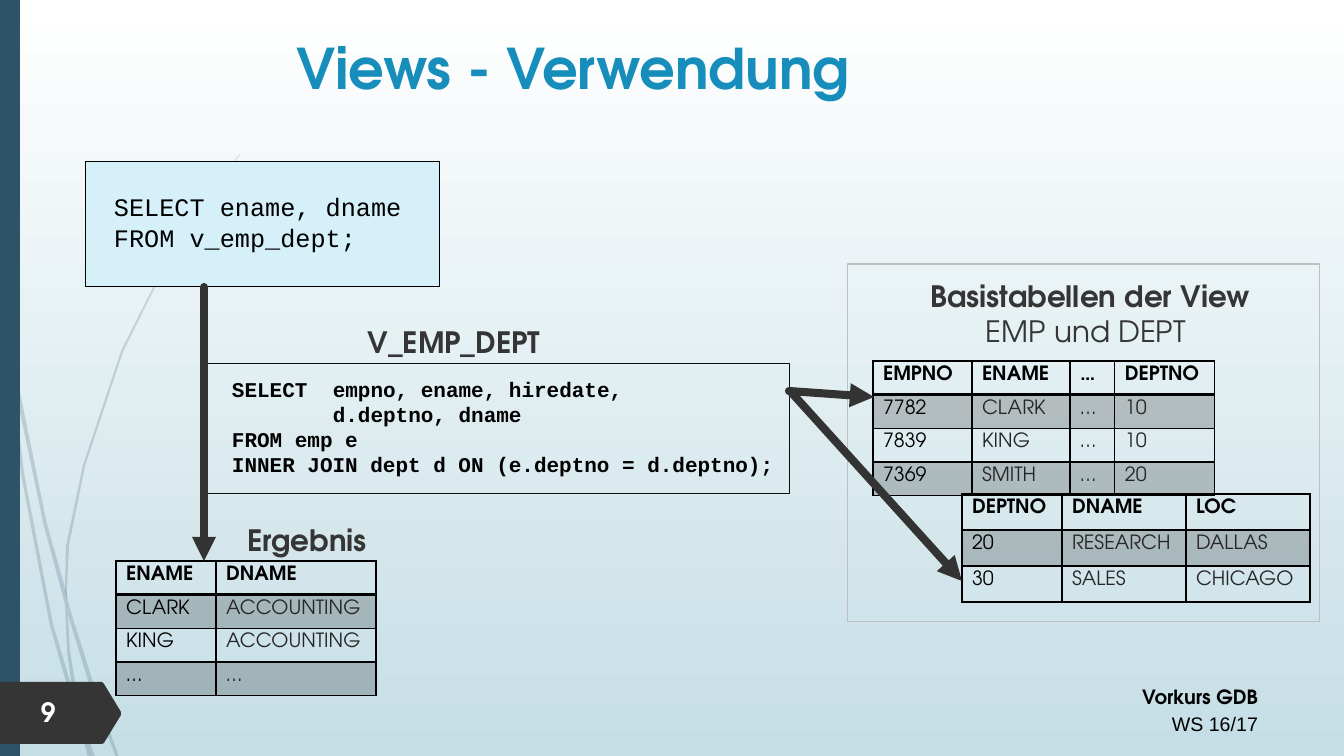
from lxml import etree
from pptx import Presentation
from pptx import util as u
from pptx.dml.color import RGBColor
from pptx.enum import shapes, text
from pptx.oxml import ns

SCALE = 914400 / 100.8
SANS, MONO = "TeX Gyre Adventor", "Courier New"
BLACK, DARK, NAVY = "000000", "353535", "2E5369"
LEFT, MID, RIGHT = text.PP_ALIGN.LEFT, text.PP_ALIGN.CENTER, text.PP_ALIGN.RIGHT

WISPS = [
    [(8, 353), (6, 325), (0, 284), (0, 301), (8, 347)],
    [(44, 526), (65, 604), (66, 591), (47, 524), (11, 348), (13, 379)],
    [(71, 612), (68, 601), (68, 615), (94, 700), (116, 757), (119, 757), (98, 698)],
    [(92, 757), (95, 757), (81, 717)],
    [(72, 688), (53, 624), (24, 473), (13, 379), (8, 353), (21, 474),
     (50, 626), (71, 699), (78, 720), (76, 713)],
    [(65, 604), (67, 651), (72, 688), (74, 698), (81, 717), (80, 712),
     (70, 651), (68, 615)],
    [(67, 589), (69, 546), (85, 466), (123, 352), (175, 247), (207, 200),
     (223, 176), (240, 155), (240, 154), (222, 176), (206, 199), (174, 246),
     (121, 351), (83, 465), (66, 546), (65, 589), (65, 591), (67, 601)],
    [(78, 720), (88, 757), (91, 757)],
    [(68, 613), (68, 601), (66, 591), (65, 604)],
    [(75, 698), (72, 688), (76, 713), (78, 720), (91, 757), (92, 757), (81, 717)],
]
TAG = [(0, 682), (102, 682), (104, 684), (121, 712), (121, 715), (104, 743),
       (102, 744), (0, 744)]


def px(size):
    """Turn pixels into EMU."""
    return u.Emu(round(size * SCALE))


def hue(code):
    """Turn a hex string into a colour."""
    return RGBColor.from_string(code)


def paint(fill, code, alpha=None):
    """Give a fill one colour, or none, with an optional opacity."""
    if code is None:
        fill.background()
        return
    fill.solid()
    fill.fore_color.rgb = hue(code)
    if alpha:
        tone = fill._xPr.find(ns.qn("a:solidFill"))[0]
        etree.SubElement(tone, ns.qn("a:alpha"), val=str(alpha * 1000))


def say(para, words, size, font, code, bold=False):
    """Add one styled run, with a line break at each newline."""
    for num, line in enumerate(words.split("\n")):
        if num:
            para.add_line_break()
        if line:
            run = para.add_run()
            run.text = line
            run.font.size, run.font.name = u.Pt(size), font
            run.font.bold, run.font.color.rgb = bold, hue(code)


def label(slide, place, paras, align=LEFT, space=None):
    """Add a text box of paragraphs, each a list of runs."""
    frame = slide.shapes.add_textbox(*map(px, place)).text_frame
    frame.word_wrap = True
    for num, runs in enumerate(paras):
        para = frame.add_paragraph() if num else frame.paragraphs[0]
        para.alignment, para.line_spacing = align, space
        for run in runs:
            say(para, *run)


def block(slide, place, code=None, edge=None):
    """Add a plain rectangle."""
    box = slide.shapes.add_shape(shapes.MSO_SHAPE.RECTANGLE, *map(px, place))
    box.shadow.inherit = False
    paint(box.fill, code)
    paint(box.line.fill, edge)
    if edge:
        box.line.width = u.Pt(0.75)
    return box


def query(slide, place, paras, size, edge, code=None, bold=False):
    """Add a framed block of SQL."""
    frame = block(slide, place, code, edge).text_frame
    frame.word_wrap = True
    frame.vertical_anchor = text.MSO_ANCHOR.MIDDLE
    frame.margin_left, frame.margin_top = px(28), 0
    for num, words in enumerate(paras):
        para = frame.add_paragraph() if num else frame.paragraphs[0]
        para.alignment = LEFT
        para._p.get_or_add_pPr().set("defTabSz", "457200")
        say(para, words, size, MONO, BLACK, bold)


def outline(slide, points, code, alpha=None):
    """Add a filled closed outline."""
    pen = slide.shapes.build_freeform(*points[0], scale=SCALE)
    pen.add_line_segments(points[1:], close=True)
    form = pen.convert_to_shape()
    form.shadow.inherit = False
    paint(form.fill, code, alpha)
    form.line.fill.background()


def rule(cell, side, width):
    """Draw one black border of a cell."""
    line = etree.SubElement(cell._tc.get_or_add_tcPr(), ns.qn("a:ln" + side),
                            w=str(u.Pt(width)))
    fill = etree.SubElement(line, ns.qn("a:solidFill"))
    etree.SubElement(fill, ns.qn("a:srgbClr"), val=BLACK)


def table(slide, left, top, cols, high, rows):
    """Add a ruled table with a bold head and shaded odd rows."""
    grid = slide.shapes.add_table(len(rows), len(cols), px(left), px(top),
                                  px(sum(cols)), px(high * len(rows))).table
    grid.first_row = grid.horz_banding = False
    for col, wide in zip(grid.columns, cols):
        col.width = px(wide)
    for r, row in enumerate(rows):
        grid.rows[r].height = px(high)
        for c, words in enumerate(row):
            cell = grid.cell(r, c)
            for side in "LRTB":
                rule(cell, side, 2 if (r, side) in [(0, "B"), (1, "T")] else 1)
            paint(cell.fill, BLACK if r % 2 else None, 20)
            say(cell.text_frame.paragraphs[0], words, 14, SANS,
                "262626" if r and c else BLACK, r == 0)


def arrow(slide, *ends):
    """Add a thick arrow between two points."""
    link = slide.shapes.add_connector(shapes.MSO_CONNECTOR.STRAIGHT, *map(px, ends))
    link.line.width = u.Pt(5.75)
    link.line.color.rgb = hue("333333")
    line = link.line._get_or_add_ln()
    line.set("cap", "rnd")
    etree.SubElement(line, ns.qn("a:round"))
    etree.SubElement(line, ns.qn("a:tailEnd"), type="triangle")
    etree.SubElement(link._element.spPr, ns.qn("a:effectLst"))


def backdrop(slide):
    """Add the gradient, wisps, side bar, footer and page tag."""
    fill = slide.background.fill
    fill.gradient()
    fill.gradient_angle = 270
    for stop, code in zip(fill.gradient_stops, ("FFFFFF", "C5DEE5")):
        stop.color.rgb = hue(code)
    for wisp in WISPS:
        outline(slide, wisp, NAVY, 20)
    block(slide, (0, 0, 20, 756), NAVY)
    label(slide, (744, 677, 524, 65), [[("Vorkurs GDB", 14, SANS, BLACK, True)],
                                       [("WS 16/17", 14, "Arial", BLACK)]], RIGHT, 1.14)
    outline(slide, TAG, DARK)
    label(slide, (31, 691, 71, 42), [[("9", 19, SANS, "FFFFFF", True)]])


def head(slide):
    """Place and fill the title."""
    title = slide.shapes.title
    title.left, title.top, title.width, title.height = map(px, (121, 26, 904, 82))
    frame = title.text_frame
    frame.vertical_anchor = text.MSO_ANCHOR.MIDDLE
    frame.paragraphs[0].alignment = MID
    say(frame.paragraphs[0], "Views - Verwendung", 40, SANS, "178DBB", True)


def main():
    """Build and save the slide."""
    deck = Presentation()
    deck.slide_width, deck.slide_height = px(1344), px(756)
    slide = deck.slides.add_slide(deck.slide_layouts[5])
    backdrop(slide)
    head(slide)
    query(slide, (204, 364, 586, 130),
          ["SELECT \tempno, ename, hiredate,\n\t\td.deptno, dname\nFROM emp e",
           "INNER JOIN dept d ON (e.deptno = d.deptno);"], 15, "0D0D0D", bold=True)
    query(slide, (86, 162, 354, 125), ["SELECT ename, dname\nFROM v_emp_dept;"],
          18, BLACK, "D6F0FA")
    label(slide, (312, 319, 284, 45), [[("V_EMP_DEPT", 21, SANS, DARK, True)]], MID)
    table(slide, 873, 361, (99, 98, 45, 100), 33,
          [("EMPNO", "ENAME", "…", "DEPTNO"), ("7782", "CLARK", "…", "10"),
           ("7839", "KING", "…", "10"), ("7369", "SMITH", "…", "20")])
    table(slide, 962, 494, (100, 124, 124), 36,
          [("DEPTNO", "DNAME", "LOC"), ("20", "RESEARCH", "DALLAS"),
           ("30", "SALES", "CHICAGO")])
    label(slide, (836, 273, 508, 82), [[("Basistabellen der View\n", 21, SANS, DARK, True),
                                        ("EMP und DEPT ", 21, SANS, DARK)]], MID)
    block(slide, (848, 264, 472, 358), edge="BFBFBF")
    table(slide, 116, 561, (100, 160), 33,
          [("ENAME", "DNAME"), ("CLARK", "ACCOUNTING"), ("KING", "ACCOUNTING"),
           ("…", "…")])
    label(slide, (165, 517, 284, 45), [[("Ergebnis", 21, SANS, DARK, True)]], MID)
    arrow(slide, 204, 287, 204, 561)
    arrow(slide, 789, 391, 874, 397)
    arrow(slide, 791, 392, 962, 581)
    deck.save("out.pptx")


main()
